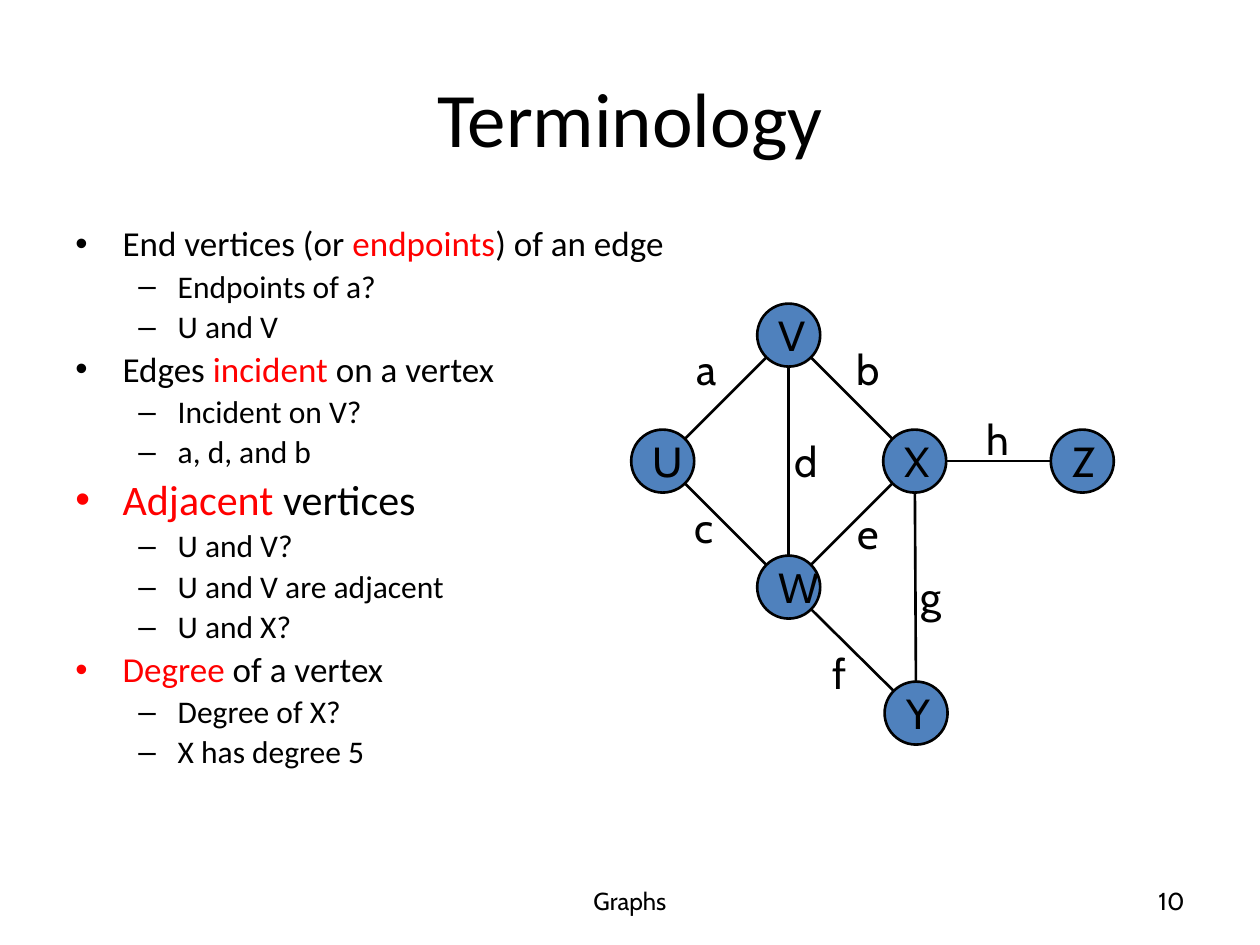
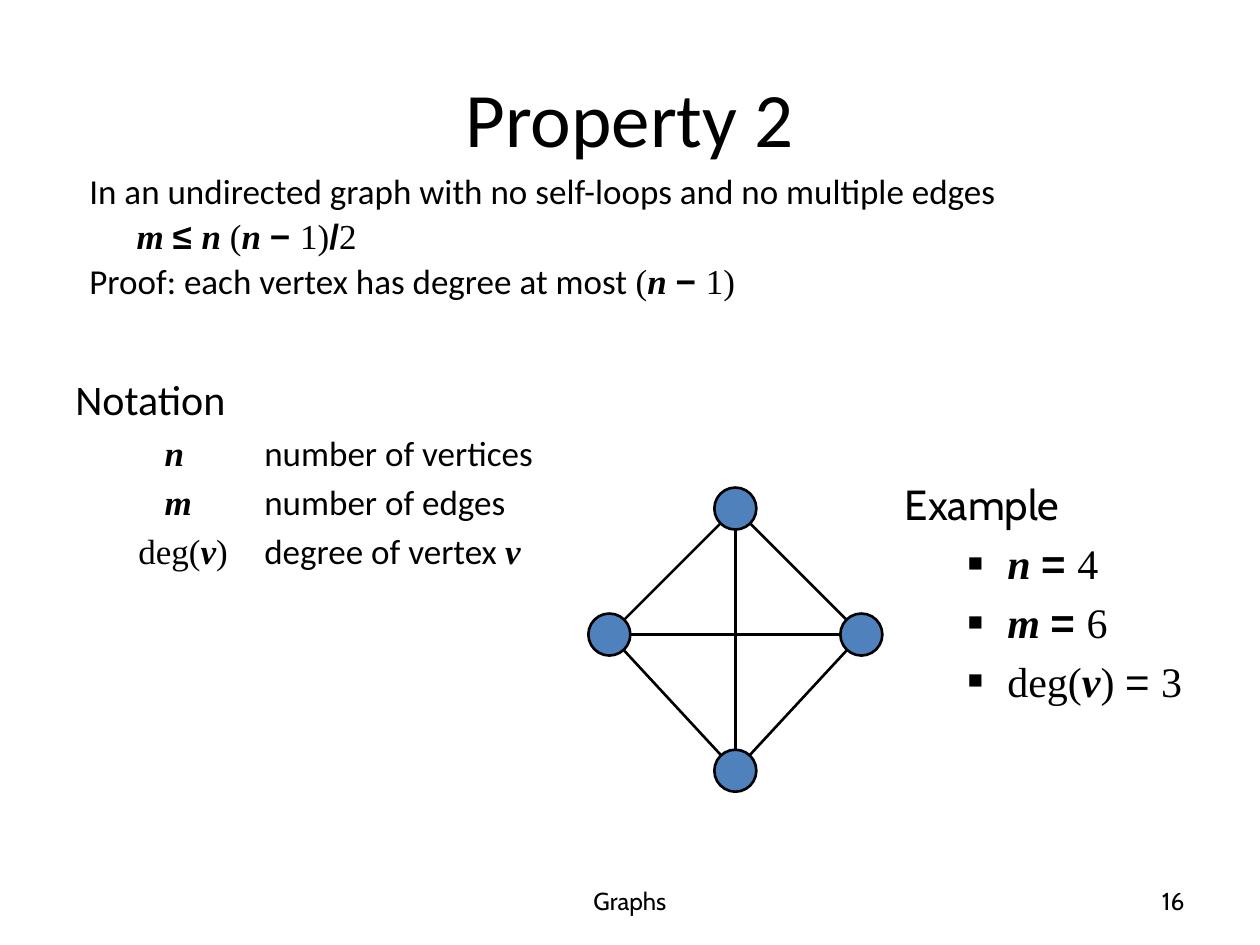
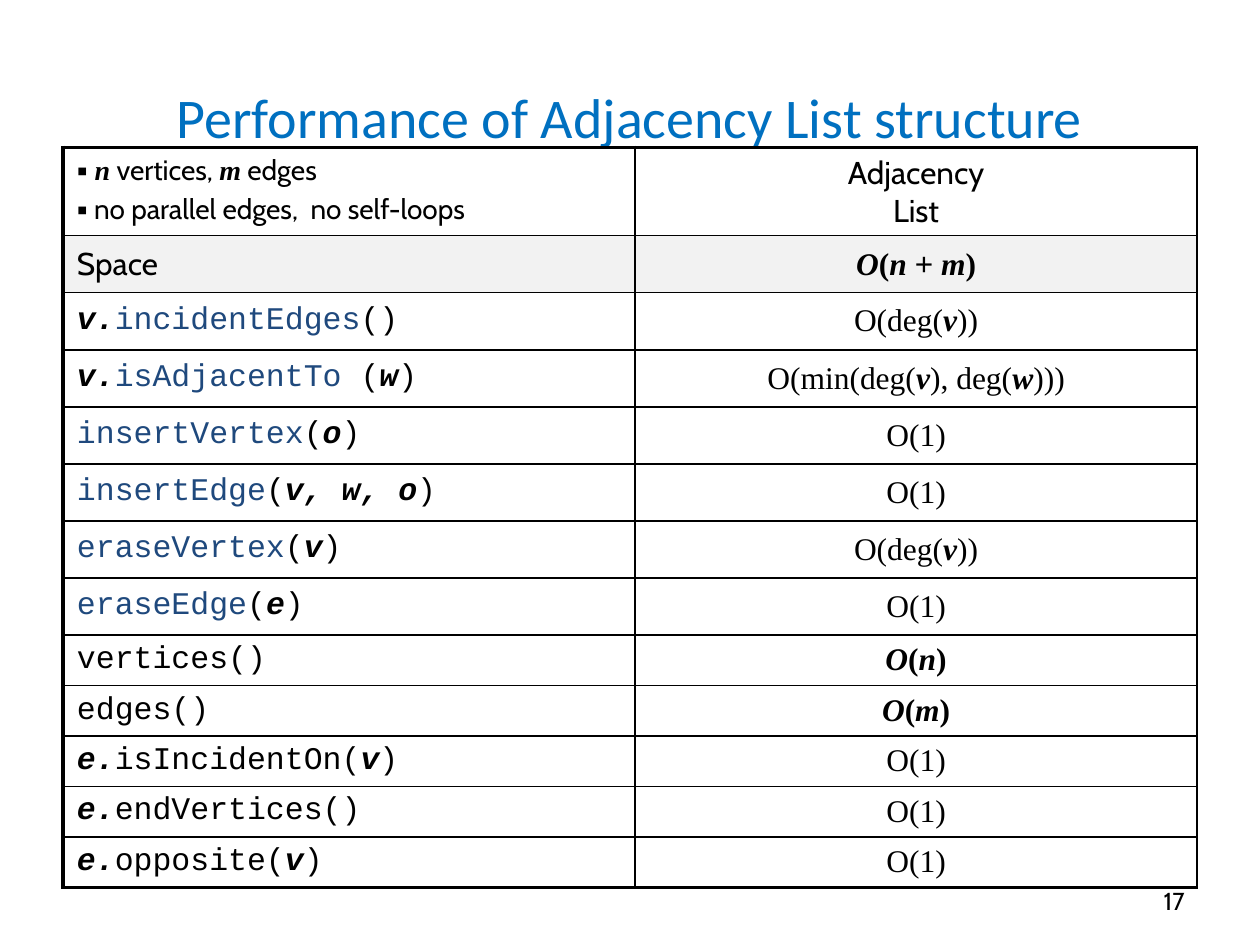
from math import hypot

from lxml.etree import SubElement
from pptx import Presentation
from pptx.dml.color import RGBColor
from pptx.enum.shapes import MSO_CONNECTOR, MSO_SHAPE
from pptx.enum.text import MSO_ANCHOR, MSO_AUTO_SIZE, PP_ALIGN
from pptx.oxml.ns import qn
from pptx.util import Pt

BLACK = RGBColor(0x00, 0x00, 0x00)
RED = RGBColor(0xFF, 0x00, 0x00)
NODE_BLUE = RGBColor(0x4F, 0x81, 0xBD)
TITLE_BLUE = RGBColor(0x00, 0x70, 0xC0)
CODE_BLUE = RGBColor(0x1F, 0x49, 0x7D)
ROW_GREY = RGBColor(0xF2, 0xF2, 0xF2)

# Run styles: font, bold, italic, colour
TEXT = ("Calibri", False, False, BLACK)
KEY = ("Calibri", False, False, RED)
LABEL = ("Cabin", False, False, BLACK)
VAR = ("Times New Roman", True, True, BLACK)
MATH = ("Times New Roman", False, False, BLACK)
BOLD = ("Times New Roman", True, False, BLACK)
OP = ("Arial", True, False, BLACK)
PLAIN_OP = ("Arial", False, False, BLACK)
CODE = ("Courier New", False, False, BLACK)
ARG = ("Courier New", True, True, BLACK)
FUNC = ("Courier New", False, False, CODE_BLUE)

# Paragraph formats
POINT = dict(size=20, margin=27, indent=-27, bullet="•", spacing=0.9)
SUBPOINT = dict(size=18, margin=58.5, indent=-22.5, bullet="–", spacing=0.9)
STATEMENT = dict(size=20, margin=58.5, indent=-22.5, spacing=0.9)
FORMULA = dict(size=20, margin=63, spacing=0.9)
NOTATION = dict(size=20, margin=108, indent=-57)
SQUARE = dict(size=24, margin=58.5, indent=-22.5, bullet="■", bullet_size=60)


def add_text(s, x, y, w, h, wrap=True, anchor=MSO_ANCHOR.TOP):
    tf = s.shapes.add_textbox(Pt(x), Pt(y), Pt(w), Pt(h)).text_frame
    tf.word_wrap = wrap
    tf.vertical_anchor = anchor
    return tf


def write(tf, paragraphs):
    """Fill a text frame from (format, runs) pairs; a run is (style, text)."""
    for i, (fmt, runs) in enumerate(paragraphs):
        p = tf.add_paragraph() if i else tf.paragraphs[0]
        p.alignment = fmt.get("align", PP_ALIGN.LEFT)
        p.line_spacing = fmt.get("spacing", 1.0)
        p.space_before = Pt(0.2 * fmt["size"])
        pPr = p._p.get_or_add_pPr()
        pPr.set("marL", str(Pt(fmt.get("margin", 0))))
        pPr.set("indent", str(Pt(fmt.get("indent", 0))))
        if "bullet" in fmt:
            size = fmt.get("bullet_size", 100)
            SubElement(pPr, qn("a:buSzPct")).set("val", str(size * 1000))
            SubElement(pPr, qn("a:buFont")).set("typeface", "Arial")
            SubElement(pPr, qn("a:buChar")).set("char", fmt["bullet"])
        for (font, bold, italic, colour), text in runs:
            if text == "\n":
                p.add_line_break()
                continue
            r = p.add_run()
            r.text = text
            r.font.name, r.font.size = font, Pt(fmt["size"])
            r.font.bold, r.font.italic = bold, italic
            r.font.color.rgb = colour


prs = Presentation()
prs.slide_width, prs.slide_height = Pt(720), Pt(540)

# Titles and footers
slides = []
for title, size, colour, footer, number in [
    ("Terminology", 44, BLACK, "Graphs", "10"),
    ("Property 2", 44, BLACK, "Graphs", "16"),
    ("Performance of Adjacency List structure", 32, TITLE_BLUE, None, "17"),
]:
    s = prs.slides.add_slide(prs.slide_layouts[5])
    slides.append(s)
    sp = s.shapes.title
    sp.left, sp.top, sp.width, sp.height = Pt(36), Pt(21.6), Pt(648), Pt(90)
    tf = sp.text_frame
    tf.text = title
    tf.vertical_anchor = MSO_ANCHOR.MIDDLE
    p = tf.paragraphs[0]
    p.alignment = PP_ALIGN.CENTER
    font = p.runs[0].font
    font.name, font.size, font.color.rgb = "Calibri", Pt(size), colour
    for text, x, w, align in [
        (footer, 246, 228, PP_ALIGN.CENTER),
        (number, 516, 168, PP_ALIGN.RIGHT),
    ]:
        if text:
            tf = add_text(s, x, 500.4, w, 28.8, anchor=MSO_ANCHOR.MIDDLE)
            write(tf, [(dict(size=14, align=align), [(LABEL, text)])])
terms, prop, perf = slides

# Body text
write(add_text(terms, 36, 126, 648, 356), [
    (POINT, [(TEXT, "End vertices (or "), (KEY, "endpoints"), (TEXT, ") of an edge")]),
    (SUBPOINT, [(TEXT, "Endpoints of a?")]),
    (SUBPOINT, [(TEXT, "U and V")]),
    (POINT, [(TEXT, "Edges "), (KEY, "incident"), (TEXT, " on a vertex")]),
    (SUBPOINT, [(TEXT, "Incident on V?")]),
    (SUBPOINT, [(TEXT, "a, d, and b")]),
    (POINT | dict(size=24), [(KEY, "Adjacent"), (TEXT, " vertices")]),
    (SUBPOINT, [(TEXT, "U and V?")]),
    (SUBPOINT, [(TEXT, "U and V are adjacent")]),
    (SUBPOINT, [(TEXT, "U and X?")]),
    (POINT, [(KEY, "Degree"), (TEXT, " of a vertex")]),
    (SUBPOINT, [(TEXT, "Degree of X?")]),
    (SUBPOINT, [(TEXT, "X has degree 5")]),
])
write(add_text(prop, 36, 210, 648, 272), [
    (dict(size=24), [(TEXT, "Notation")]),
    (NOTATION, [(VAR, "n\t"), (TEXT, "number of vertices")]),
    (NOTATION, [(VAR, "m\t"), (TEXT, "number of edges")]),
    (NOTATION | dict(indent=-72), [(MATH, "deg("), (VAR, "v"), (MATH, ")\t"),
                                   (TEXT, "degree of vertex "), (VAR, "v")]),
])
write(add_text(prop, 8, 96, 616, 366), [
    (STATEMENT, [(TEXT, "In an undirected graph with no self-loops and no multiple edges")]),
    (FORMULA, [(VAR, "m "), (OP, "≤ "), (VAR, "n "), (MATH, "("), (VAR, "n "),
               (OP, "− "), (MATH, "1)"), (OP, "/"), (MATH, "2")]),
    (STATEMENT, [(TEXT, "Proof: each vertex has degree at most "), (MATH, "("),
                 (VAR, "n "), (OP, "− "), (MATH, "1)")]),
])
write(add_text(prop, 510, 270, 180, 180), [
    (dict(size=24), [(LABEL, "Example")]),
    (SQUARE, [(VAR, "n "), (OP, "= "), (MATH, "4")]),
    (SQUARE, [(VAR, "m "), (OP, "= "), (MATH, "6")]),
    (SQUARE, [(MATH, "deg("), (VAR, "v"), (MATH, ") "), (PLAIN_OP, "= "), (MATH, "3")]),
])

# Graphs: node centres, radius, edges as pairs of node names
TERM_NODES = {"X": (522.7, 263.5), "U": (378.7, 263.5), "V": (450.7, 191.5),
              "W": (450.7, 335.5), "Z": (618.5, 263.5), "Y": (523.5, 407.5)}
K4_NODES = {"left": (348.2, 362.6), "top": (420.2, 290.6),
            "bottom": (420.2, 440.4), "right": (492.2, 362.6)}
K4_EDGES = [("top", "right"), ("top", "left"), ("bottom", "left"),
            ("right", "bottom"), ("right", "left"), ("bottom", "top")]
for s, nodes, radius, edges, named in [
    (terms, TERM_NODES, 18, ["VU", "WU", "WX", "VX", "VW", "WY", "XY", "XZ"], True),
    (prop, K4_NODES, 12, K4_EDGES, False),
]:
    for name, (x, y) in nodes.items():
        sp = s.shapes.add_shape(MSO_SHAPE.OVAL, Pt(x - radius), Pt(y - radius),
                                Pt(2 * radius), Pt(2 * radius))
        sp.shadow.inherit = False
        sp.fill.solid()
        sp.fill.fore_color.rgb = NODE_BLUE
        sp.line.color.rgb, sp.line.width = BLACK, Pt(1.5)
        if named:
            sp.text_frame.word_wrap = False
            sp.text_frame.vertical_anchor = MSO_ANCHOR.MIDDLE
            write(sp.text_frame, [(dict(size=24), [(LABEL, name)])])
    for start, end in edges:
        (x1, y1), (x2, y2) = nodes[start], nodes[end]
        ratio = radius / hypot(x2 - x1, y2 - y1)
        dx, dy = ratio * (x2 - x1), ratio * (y2 - y1)
        line = s.shapes.add_connector(MSO_CONNECTOR.STRAIGHT, Pt(x1 + dx), Pt(y1 + dy),
                                      Pt(x2 - dx), Pt(y2 - dy))
        line.line.color.rgb, line.line.width = BLACK, Pt(1.5)
        SubElement(line._element.spPr, qn("a:effectLst"))

# Edge labels
for name, x, y in [("a", 391, 193), ("c", 390, 283), ("b", 482.5, 193),
                   ("e", 483, 286.5), ("d", 447, 245.5), ("f", 468.5, 366.5),
                   ("g", 519, 322.5), ("h", 556.5, 232.5)]:
    tf = add_text(terms, x, y, 22 if name == "f" else 27, 36, wrap=False)
    tf.auto_size = MSO_AUTO_SIZE.SHAPE_TO_FIT_TEXT
    write(tf, [(dict(size=24), [(LABEL, name)])])

# Performance table
CONSTANT = [(MATH, "O(1)")]
DEGREE = [(MATH, "O(deg("), (VAR, "v"), (MATH, "))")]
HEADING = [(LABEL, "Adjacency"), (LABEL, "\n"), (LABEL, "List")]
ROWS = [
    (None, HEADING),
    ([(LABEL, "Space")],
     [(VAR, "O"), (BOLD, "("), (VAR, "n "), (PLAIN_OP, "+"), (VAR, " m"), (BOLD, ")")]),
    ([(ARG, "v."), (FUNC, "incidentEdges"), (CODE, "()")], DEGREE),
    ([(ARG, "v."), (FUNC, "isAdjacentTo "), (CODE, "("), (ARG, "w"), (CODE, ")")],
     [(MATH, "O(min(deg("), (VAR, "v"), (MATH, "), deg("), (VAR, "w"), (MATH, ")))")]),
    ([(FUNC, "insertVertex"), (CODE, "("), (ARG, "o"), (CODE, ")")], CONSTANT),
    ([(FUNC, "insertEdge"), (CODE, "("), (ARG, "v, w, o"), (CODE, ")")], CONSTANT),
    ([(FUNC, "eraseVertex"), (CODE, "("), (ARG, "v"), (CODE, ")")], DEGREE),
    ([(FUNC, "eraseEdge"), (CODE, "("), (ARG, "e"), (CODE, ")")], CONSTANT),
    ([(CODE, "vertices()")], [(VAR, "O"), (BOLD, "("), (VAR, "n"), (BOLD, ")")]),
    ([(CODE, "edges()")], [(VAR, "O"), (BOLD, "("), (VAR, "m"), (BOLD, ")")]),
    ([(ARG, "e."), (CODE, "isIncidentOn("), (ARG, "v"), (CODE, ")")], CONSTANT),
    ([(ARG, "e."), (CODE, "endVertices()")], CONSTANT),
    ([(ARG, "e."), (CODE, "opposite("), (ARG, "v"), (CODE, ")")], CONSTANT),
]
NOTE = dict(size=16, bullet="▪", bullet_size=110)
ASSUMPTIONS = [
    (NOTE, [(VAR, " n"), (LABEL, " vertices, "), (VAR, "m"), (LABEL, " edges")]),
    (NOTE, [(LABEL, " no parallel edges,  no self-loops")]),
]
HEIGHTS = [50.5] + [32.6] * 7 + [28.3] * 5
last = len(ROWS) - 1
tbl = perf.shapes.add_table(len(ROWS), 2, Pt(36), Pt(84.2), Pt(648),
                            Pt(sum(HEIGHTS))).table
tbl.first_row = tbl.horz_banding = False
tbl.columns[0].width, tbl.columns[1].width = Pt(327), Pt(321)
for i, row in enumerate(ROWS):
    tbl.rows[i].height = Pt(HEIGHTS[i])
    for j, runs in enumerate(row):
        cell = tbl.cell(i, j)
        cell.margin_left = cell.margin_right = Pt(8)
        cell.vertical_anchor = MSO_ANCHOR.MIDDLE if runs else MSO_ANCHOR.TOP
        align = PP_ALIGN.CENTER if j else PP_ALIGN.LEFT
        write(cell.text_frame,
              [(dict(size=18, align=align), runs)] if runs else ASSUMPTIONS)
        # Borders: thick on the left, top and bottom edges of the table
        tcPr = cell._tc.get_or_add_tcPr()
        for side, thick in [("L", j == 0), ("R", False), ("T", i == 0), ("B", i == last)]:
            ln = SubElement(tcPr, qn("a:ln" + side), w=str(Pt(2.25 if thick else 1)))
            fill = SubElement(ln, qn("a:solidFill"))
            SubElement(fill, qn("a:srgbClr")).set("val", str(BLACK))
        if i == 1:
            cell.fill.solid()
            cell.fill.fore_color.rgb = ROW_GREY
        else:
            cell.fill.background()

prs.save("out.pptx")
